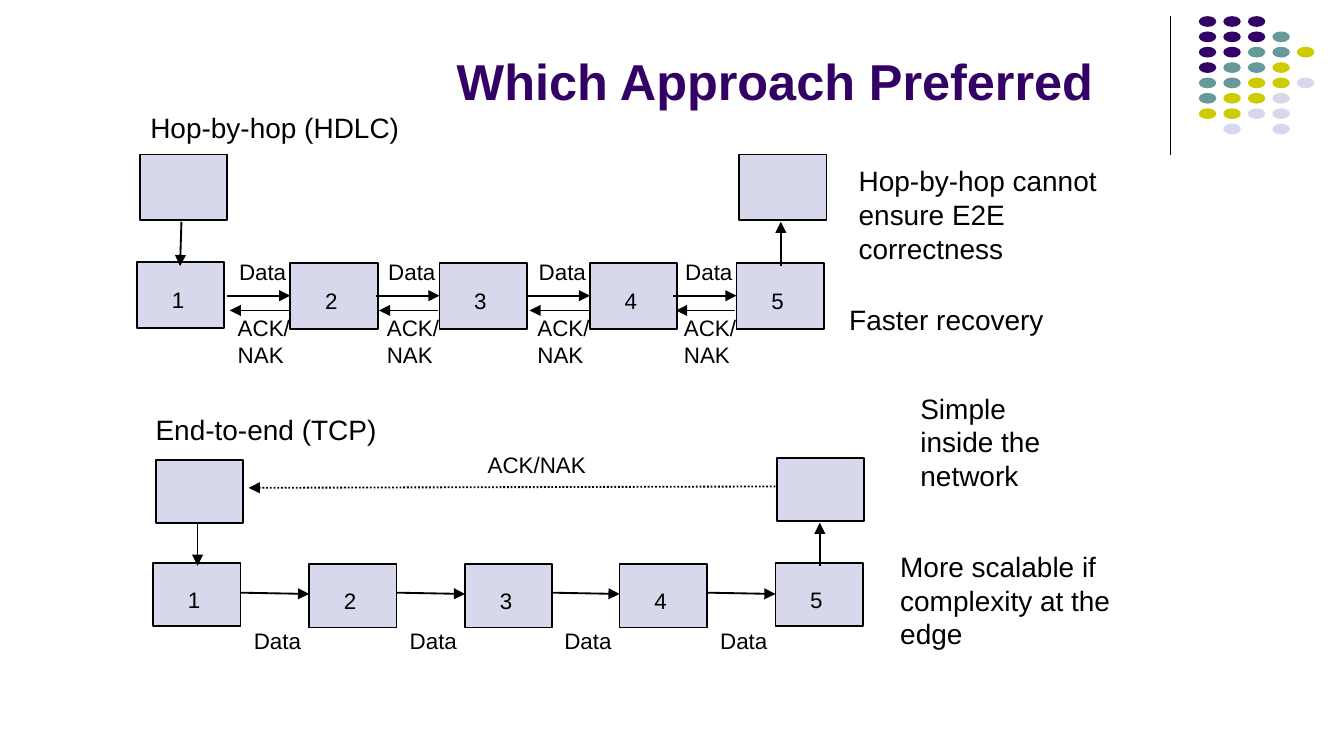
from lxml import etree
from pptx import Presentation
from pptx.dml.color import RGBColor
from pptx.enum.dml import MSO_LINE
from pptx.enum.shapes import MSO_CONNECTOR as CONN, MSO_SHAPE as SHAPE
from pptx.enum.text import MSO_ANCHOR as ANCHOR
from pptx.oxml.ns import qn
from pptx.util import Inches, Pt

COLORS = {"black": "000000", "purple": "330066", "teal": "669999",
          "olive": "CCCC00", "lilac": "D8D8EC"}

# Content: text, left, top, width, height
TITLE = ("Which Approach Preferred", 3.3, 0.03, 5.32, 0.84)
HEADINGS = [
    ("Hop-by-hop (HDLC)", 1.02, 0.77, 2.87, 0.35),
    ("End-to-end (TCP)", 1.06, 3.02, 2.87, 0.35),
]
REMARKS = [
    ("Hop-by-hop cannot ensure E2E correctness", 6.29, 1.16, 1.99, 0.86),
    ("Faster recovery", 6.22, 2.2, 1.99, 0.35),
    ("Simple inside the network", 6.75, 2.85, 1.37, 0.86),
    ("More scalable if complexity at the edge", 6.6, 4.03, 1.77, 0.86),
]
NODES = ["1", "2", "3", "4", "5"]
NODE_W = 0.65

# Each chain: node lefts and tops, label drop, hosts, vertical arrows
HOP = {"xs": [1.02, 2.16, 3.27, 4.39, 5.48], "ys": [1.95, 1.96, 1.96, 1.96, 1.96],
       "h": 0.49, "drop": 0.13, "hosts": [(1.04, 1.15), (5.5, 1.15)],
       "down": (1.35, 1.65, 1.34, 1.98), "up": (5.81, 1.65, 5.81, 1.98)}
END = {"xs": [1.14, 2.3, 3.46, 4.61, 5.77], "ys": [4.19, 4.2, 4.2, 4.2, 4.19],
       "h": 0.47, "drop": 0.12, "hosts": [(1.16, 3.42), (5.78, 3.41)],
       "down": (1.47, 3.9, 1.47, 4.21), "up": (6.1, 3.89, 6.1, 4.21)}

# Corner dots, one letter a dot
DOTS = ["PPP", "PPPT", "PPTTO", "PTTO", "TTOOL", "TOOL", "OOLL", " L L"]
DOT_COLORS = {"P": "purple", "T": "teal", "O": "olive", "L": "lilac"}

prs = Presentation()
prs.slide_width = Inches(10)
prs.slide_height = prs.slide_width * 9 // 16
s = prs.slides.add_slide(prs.slide_layouts[6])


def rgb(name):
    return RGBColor.from_string(COLORS[name])


def add_text(text, x, y, w, h, size=12, color="black", bold=False, anchor=ANCHOR.TOP):
    tf = s.shapes.add_textbox(*map(Inches, (x, y, w, h))).text_frame
    tf.word_wrap = True
    tf.vertical_anchor = anchor
    r = tf.paragraphs[0].add_run()
    r.text = text
    for key, value in {"name": "Arial", "size": Pt(size), "bold": bold}.items():
        setattr(r.font, key, value)
    r.font.color.rgb = rgb(color)


def add_shape(kind, x, y, w, h, fill, outline=True):
    sp = s.shapes.add_shape(kind, *map(Inches, (x, y, w, h)))
    sp.shadow.inherit = False
    sp.fill.solid()
    sp.fill.fore_color.rgb = rgb(fill)
    if outline:
        sp.line.color.rgb = rgb("black")
        sp.line.width = Pt(1)
    else:
        sp.line.fill.background()


def add_line(x1, y1, x2, y2, width=1, arrow="tailEnd", dash=None):
    c = s.shapes.add_connector(CONN.STRAIGHT, *map(Inches, (x1, y1, x2, y2)))
    c.line.color.rgb = rgb("black")
    c.line.width = Pt(width)
    if dash:
        c.line.dash_style = dash
    sp_pr = c._element.spPr
    if arrow:
        etree.SubElement(sp_pr.find(qn("a:ln")), qn(f"a:{arrow}"), type="triangle")
    etree.SubElement(sp_pr, qn("a:effectLst"))


# Corner decoration
add_line(8.71, 0.12, 8.71, 1.15, width=0.75, arrow=None)
for row, dots in enumerate(DOTS):
    for col, dot in enumerate(dots):
        if dot in DOT_COLORS:
            add_shape(SHAPE.OVAL, 8.92 + 0.73 * col / 4, 0.12 + 0.8 * row / 7,
                      0.13, 0.08, DOT_COLORS[dot], outline=False)

# Title, headings and remarks
add_text(*TITLE, size=27, color="purple", bold=True, anchor=ANCHOR.BOTTOM)
for heading in HEADINGS:
    add_text(*heading, size=15)
for remark in REMARKS:
    add_text(*remark, size=15, anchor=ANCHOR.BOTTOM)

# Nodes, hosts and vertical arrows of both chains
for chain in (HOP, END):
    for label, x, y in zip(NODES, chain["xs"], chain["ys"]):
        add_shape(SHAPE.RECTANGLE, x, y, NODE_W, chain["h"], "lilac")
        add_text(label, x + 0.16, y + chain["drop"], 0.51, 0.3)
    for x, y in chain["hosts"]:
        add_shape(SHAPE.RECTANGLE, x, y, NODE_W, chain["h"], "lilac")
    add_line(*chain["down"])
    add_line(*chain["up"], arrow="headEnd")

# Hop-by-hop links: data forward, acknowledgement back on every hop
for x in HOP["xs"][1:]:
    add_text("Data", x - 0.48, 1.87, 0.62, 0.3)
    add_line(x - 0.47, 2.2, x, 2.2)
    add_line(x - 0.45, 2.31, x - 0.01, 2.31, arrow="headEnd")
    add_text("ACK/NAK", x - 0.49, 2.29, 0.62, 0.51)

# End-to-end links: data on every hop, one acknowledgement between hosts
for x in END["xs"][1:]:
    add_text("Data", x - 0.51, 4.62, 0.62, 0.3)
    add_line(x - 0.51, 4.41, x, 4.42)
add_line(5.77, 3.62, 1.85, 3.63, dash=MSO_LINE.ROUND_DOT)
add_text("ACK/NAK", 3.53, 3.31, 1.12, 0.3)

prs.save("out.pptx")
